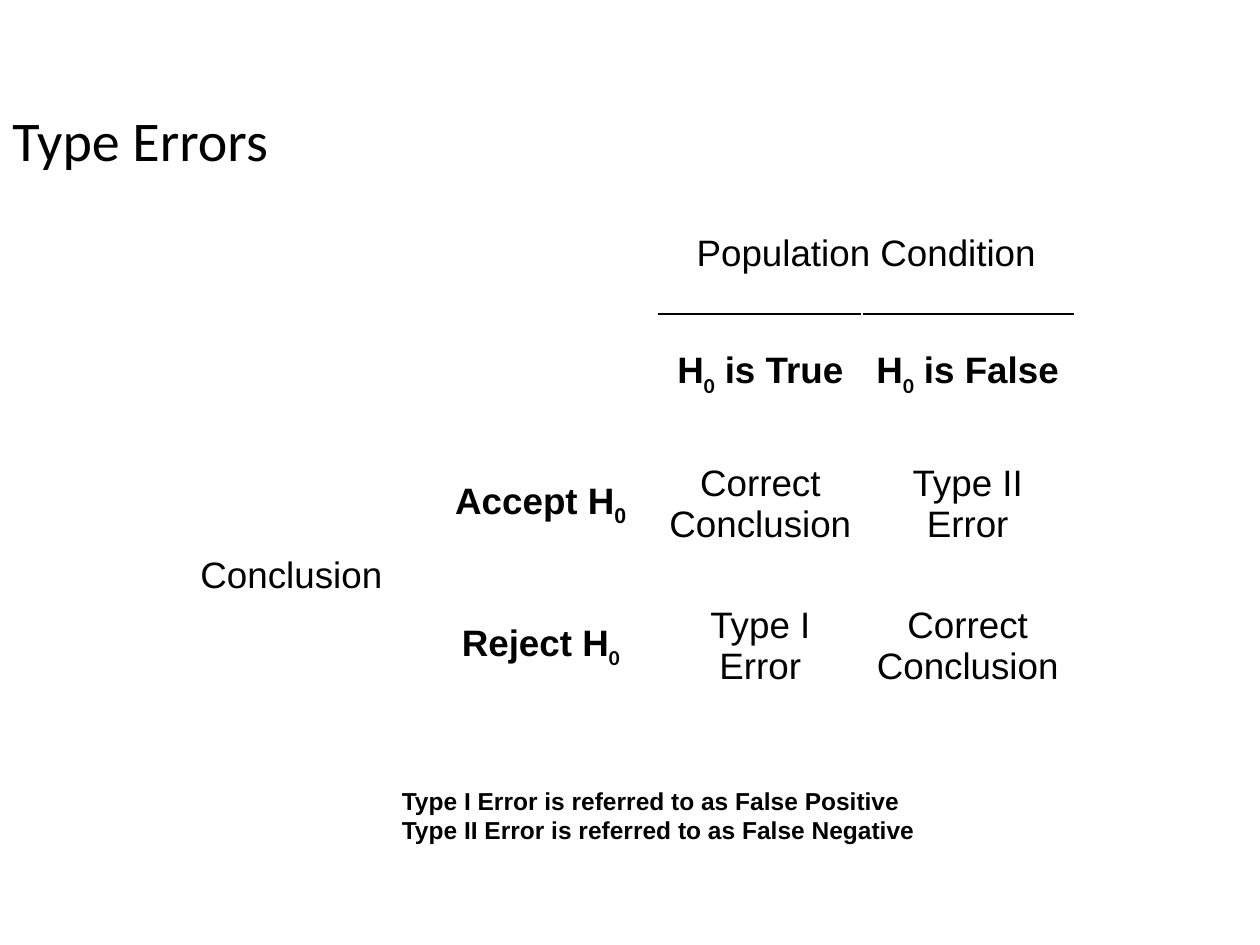
from lxml.etree import SubElement
from pptx import Presentation
from pptx.dml.color import RGBColor
from pptx.enum.text import MSO_ANCHOR, MSO_AUTO_SIZE, PP_ALIGN
from pptx.oxml.ns import qn
from pptx.util import Pt

BLACK = RGBColor(0, 0, 0)
COLUMN_WIDTHS = (150, 135, 116, 121)
ROW_HEIGHTS = (68.4, 68.4, 81, 81)
CONDITIONS = (
    (0, 2, "Population Condition", False, "Arial"),
    (1, 2, "H0 is True", True, "Calibri"),
    (1, 3, "H0 is False", True, "Calibri"),
    (2, 0, "Conclusion", False, "Arial"),
    (2, 1, "Accept H0", True, "Arial"),
    (2, 2, "Correct Conclusion", False, "Arial"),
    (2, 3, "Type II Error", False, "Arial"),
    (3, 1, "Reject H0", True, "Calibri"),
    (3, 2, "Type I Error", False, "Arial"),
    (3, 3, "Correct Conclusion", False, "Arial"),
)


def apply_format(target, values):
    for name, value in values.items():
        setattr(target, name, value)


def add_run(paragraph, text, size, font="Arial", bold=False):
    run = paragraph.add_run()
    run.text = text
    apply_format(run.font, {"size": Pt(size), "name": font, "bold": bold})
    run.font.color.rgb = BLACK
    return run


def add_text(slide, position, lines, size, font, bold, frame_format):
    frame = slide.shapes.add_textbox(*map(Pt, position)).text_frame
    apply_format(frame, {"word_wrap": True, **frame_format})
    for index, line in enumerate(lines):
        paragraph = frame.add_paragraph() if index else frame.paragraphs[0]
        add_run(paragraph, line, size, font, bold)


def fill_cell(cell, text, bold, subscript_font):
    paragraph = cell.text_frame.paragraphs[0]
    paragraph.alignment = PP_ALIGN.CENTER
    before, subscript, after = text.partition("0")
    add_run(paragraph, before, 21, bold=bold)
    if subscript:
        lowered = add_run(paragraph, subscript, 21, subscript_font, bold)
        lowered.font._element.set("baseline", "-25000")
    if after:
        add_run(paragraph, after, 21, bold=bold)


def add_border(cell, side):
    properties = cell._tc.get_or_add_tcPr()
    border = SubElement(properties, qn(f"a:{side}"), w=str(Pt(1)))
    fill = SubElement(border, qn("a:solidFill"))
    SubElement(fill, qn("a:srgbClr"), val=str(BLACK))
    properties.insert(0, border)


def add_decision_table(slide):
    table = slide.shapes.add_table(
        len(ROW_HEIGHTS), len(COLUMN_WIDTHS), Pt(91.5), Pt(111),
        Pt(sum(COLUMN_WIDTHS)), Pt(sum(ROW_HEIGHTS))).table
    apply_format(table, {"first_row": False, "horz_banding": False})
    for column, width in zip(table.columns, COLUMN_WIDTHS):
        column.width = Pt(width)
    for row, height in zip(table.rows, ROW_HEIGHTS):
        row.height = Pt(height)
    for cell in table.iter_cells():
        cell.fill.background()
        apply_format(cell, {
            "vertical_anchor": MSO_ANCHOR.MIDDLE,
            "margin_left": Pt(5), "margin_right": Pt(5),
            "margin_top": Pt(3), "margin_bottom": Pt(3)})
    table.cell(0, 2).merge(table.cell(0, 3))
    table.cell(2, 0).merge(table.cell(3, 0))
    for row, column, text, bold, subscript_font in CONDITIONS:
        fill_cell(table.cell(row, column), text, bold, subscript_font)
    for column in (2, 3):
        add_border(table.cell(0, column), "lnB")
        add_border(table.cell(1, column), "lnT")


def main():
    presentation = Presentation()
    apply_format(presentation,
                 {"slide_width": Pt(720), "slide_height": Pt(540)})
    slide = presentation.slides.add_slide(presentation.slide_layouts[6])
    add_text(slide, (0, 53.5, 459, 52), ["Type Errors"], 32, "Calibri", False,
             {"vertical_anchor": MSO_ANCHOR.MIDDLE})
    add_decision_table(slide)
    add_text(slide, (222.5, 445.5, 364.5, 41),
             ["Type I Error is referred to as False Positive",
              "Type II Error is referred to as False Negative"],
             14, "Arial", True,
             {"auto_size": MSO_AUTO_SIZE.SHAPE_TO_FIT_TEXT})
    presentation.save("out.pptx")


if __name__ == "__main__":
    main()
